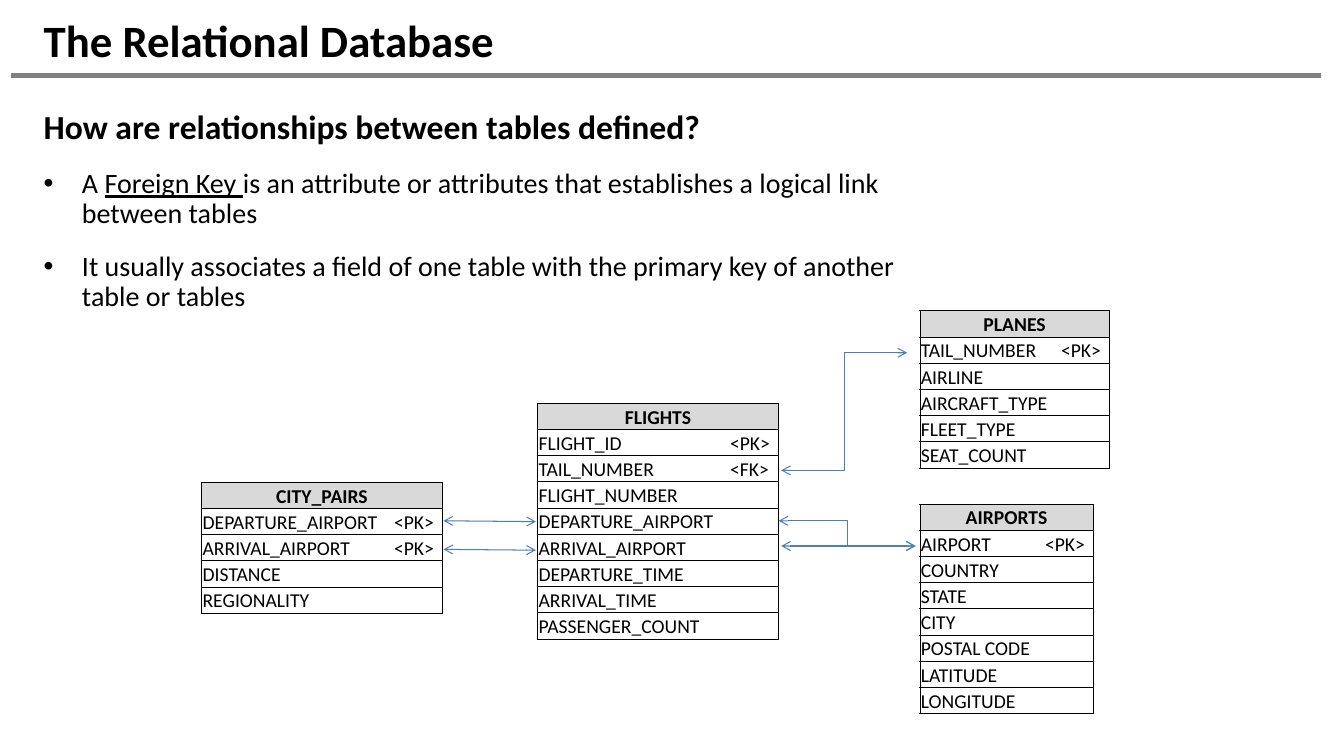
from dataclasses import dataclass

from lxml.etree import SubElement
from pptx import Presentation
from pptx.dml.color import RGBColor
from pptx.enum.shapes import MSO_CONNECTOR as Connector
from pptx.enum.text import MSO_ANCHOR as Anchor, MSO_AUTO_SIZE as AutoSize, PP_ALIGN as Align
from pptx.oxml.ns import qn
from pptx.util import Inches, Pt


@dataclass(frozen=True)
class Theme:
    font: str = "Calibri"
    ink: str = "000000"
    rule: str = "808080"
    link: str = "4B7EBC"
    header: str = "D9D9D9"
    title_size: int = 32
    heading_size: int = 24
    body_size: int = 20
    table_size: int = 14


COLUMNS, ROWS = 160, 90  # grid cells of 1/12 inch
RECORD_HEIGHT, KEY_WIDTH = 3.12, 5.88

# left, top, name column width, heading, fields with their keys
ENTITIES = [
    (64, 48, 22.8, "FLIGHTS", [
        ("FLIGHT_ID", "<PK>"), ("TAIL_NUMBER", "<FK>"), ("FLIGHT_NUMBER", ""),
        ("DEPARTURE_AIRPORT", ""), ("ARRIVAL_AIRPORT", ""), ("DEPARTURE_TIME", ""),
        ("ARRIVAL_TIME", ""), ("PASSENGER_COUNT", "")]),
    (109.5, 37, 16.7, "PLANES", [
        ("TAIL_NUMBER", "<PK>"), ("AIRLINE", ""), ("AIRCRAFT_TYPE", ""),
        ("FLEET_TYPE", ""), ("SEAT_COUNT", "")]),
    (109.5, 60, 14.8, "AIRPORTS", [
        ("AIRPORT", "<PK>"), ("COUNTRY", ""), ("STATE", ""), ("CITY", ""),
        ("POSTAL CODE", ""), ("LATITUDE", ""), ("LONGITUDE", "")]),
    (24, 57.4, 22.8, "CITY_PAIRS", [
        ("DEPARTURE_AIRPORT", "<PK>"), ("ARRIVAL_AIRPORT", "<PK>"),
        ("DISTANCE", ""), ("REGIONALITY", "")]),
]

RELATIONSHIPS = [
    (Connector.ELBOW, (93, 56), (108, 42)),
    (Connector.ELBOW, (92.7, 62), (109, 65)),
    (Connector.STRAIGHT, (109, 65), (93, 65)),
    (Connector.STRAIGHT, (63.8, 62.1), (52.8, 62)),
    (Connector.STRAIGHT, (63.8, 65.5), (52.8, 65.4)),
]


class SlideBuilder:
    def __init__(self, deck, theme):
        self.theme = theme
        self.column = deck.slide_width / COLUMNS
        self.row = deck.slide_height / ROWS
        self.page = deck.slides.add_slide(deck.slide_layouts[1])

    def across(self, columns):
        return round(columns * self.column)

    def down(self, rows):
        return round(rows * self.row)

    def add_text(self, para, text, *, size, bold=False, underline=False):
        span = para.add_run()
        span.text = text
        font = span.font
        font.name, font.size = self.theme.font, Pt(size)
        font.bold, font.underline = bold, underline
        font.color.rgb = RGBColor.from_string(self.theme.ink)

    def place(self, box, left, top, width, height, anchor):
        """Move a placeholder onto the grid and return its text frame."""
        box.left, box.top = self.across(left), self.down(top)
        box.width, box.height = self.across(width), self.down(height)
        frame = box.text_frame
        frame.word_wrap, frame.auto_size = True, AutoSize.NONE
        frame.vertical_anchor = anchor
        return frame

    def title(self, text):
        frame = self.place(self.page.shapes.title, 4, 2, 153.4, 5.4, Anchor.MIDDLE)
        para = frame.paragraphs[0]
        para.alignment = Align.LEFT
        self.add_text(para, text, size=self.theme.title_size, bold=True)

    def body(self, heading, points):
        """Each point is a list of (text, underlined) pairs."""
        frame = self.place(self.page.placeholders[1], 4, 12.6, 111, 16, Anchor.TOP)
        para = frame.paragraphs[0]
        self.paragraph_format(para, indent=0, before=0)
        self.add_text(para, heading, size=self.theme.heading_size, bold=True)
        for point in points:
            para = frame.add_paragraph()
            self.paragraph_format(para, indent=Inches(0.38), before=16, bullet="•")
            for text, underlined in point:
                self.add_text(para, text, size=self.theme.body_size, underline=underlined)

    def paragraph_format(self, para, *, indent, before, bullet=None):
        props = para._p.get_or_add_pPr()
        props.set("marL", str(indent))
        props.set("indent", str(-indent))
        if bullet:
            SubElement(props, qn("a:buChar"), char=bullet)
        else:
            SubElement(props, qn("a:buNone"))
        para.alignment = Align.LEFT
        para.line_spacing, para.space_before = 0.9, Pt(before)

    def line(self, kind, start, end, *, color, width, arrows=False):
        line = self.page.shapes.add_connector(
            kind, self.across(start[0]), self.down(start[1]),
            self.across(end[0]), self.down(end[1]))
        line.line.color.rgb = RGBColor.from_string(color)
        line.line.width = Pt(width)
        props = line._element.spPr
        if arrows:
            for tip in ("a:headEnd", "a:tailEnd"):
                SubElement(props.find(qn("a:ln")), qn(tip), type="arrow")
        SubElement(props, qn("a:effectLst"))

    def borders(self, cell, open_side):
        """Draw thin borders on every side of the cell but the open one."""
        props = cell._tc.get_or_add_tcPr()
        for side in "LRTB":
            border = SubElement(props, qn(f"a:ln{side}"), w=str(Pt(0.5)))
            if side == open_side:
                SubElement(border, qn("a:noFill"))
            else:
                fill = SubElement(border, qn("a:solidFill"))
                SubElement(fill, qn("a:srgbClr"), val=self.theme.ink)

    def cell(self, cell, text, *, open_side=None, header=False):
        self.borders(cell, open_side)
        cell.margin_left = cell.margin_right = cell.margin_top = Inches(0.01)
        cell.margin_bottom = 0
        cell.vertical_anchor = Anchor.BOTTOM
        if header:
            cell.fill.solid()
            cell.fill.fore_color.rgb = RGBColor.from_string(self.theme.header)
        else:
            cell.fill.background()
        para = cell.text_frame.paragraphs[0]
        para.alignment = Align.CENTER if header else Align.LEFT
        size = self.theme.table_size
        if text:
            self.add_text(para, text, size=size, bold=header)
        else:
            SubElement(para._p, qn("a:endParaRPr"), sz=str(size * 100))

    def entity(self, left, top, name_width, heading, fields):
        count = len(fields) + 1
        table = self.page.shapes.add_table(
            count, 2, self.across(left), self.down(top),
            self.across(name_width + KEY_WIDTH), self.down(count * RECORD_HEIGHT)).table
        table.first_row = table.horz_banding = False
        for column, width in zip(table.columns, (name_width, KEY_WIDTH)):
            column.width = self.across(width)
        for record in table.rows:
            record.height = self.down(RECORD_HEIGHT)
        table.cell(0, 0).merge(table.cell(0, 1))
        self.cell(table.cell(0, 0), heading, header=True)
        self.cell(table.cell(0, 1), "", header=True)
        for index, (name, key) in enumerate(fields, start=1):
            self.cell(table.cell(index, 0), name, open_side="R")
            self.cell(table.cell(index, 1), key, open_side="L")


def main():
    deck = Presentation()
    deck.slide_width, deck.slide_height = Inches(13.33), Inches(7.5)
    theme = Theme()
    slide = SlideBuilder(deck, theme)
    slide.line(Connector.STRAIGHT, (1.3, 9), (157.3, 9), color=theme.rule, width=3)
    slide.title("The Relational Database")
    slide.body("How are relationships between tables defined?", [
        [("A ", False), ("Foreign Key ", True),
         ("is an attribute or attributes that establishes a logical link between tables", False)],
        [("It usually associates a field of one table with the primary key of another "
          "table or tables", False)],
    ])
    for entity in ENTITIES:
        slide.entity(*entity)
    for kind, start, end in RELATIONSHIPS:
        slide.line(kind, start, end, color=theme.link, width=0.75, arrows=True)
    deck.save("out.pptx")


if __name__ == "__main__":
    main()
